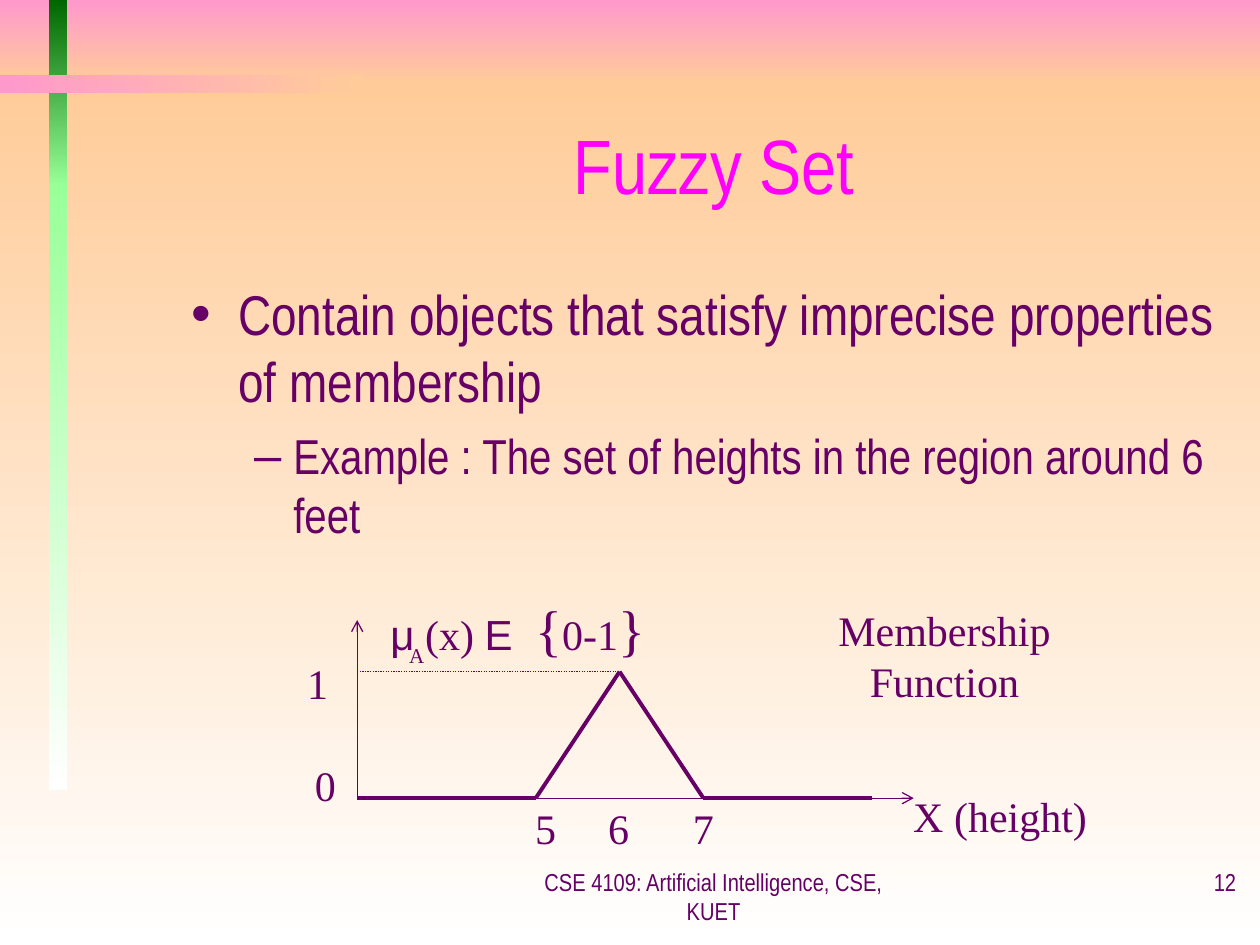
from dataclasses import dataclass

from lxml import etree
from pptx import Presentation
from pptx import util as u
from pptx.dml.color import RGBColor
from pptx.enum import dml, shapes, text
from pptx.oxml.ns import qn


@dataclass(frozen=True)
class Theme:
    ink: str = "660066"
    title: str = "FF00FF"
    pink: str = "FF99CC"
    peach: str = "FFCC99"
    dark_green: str = "006600"
    light_green: str = "99FF99"
    white: str = "FFFFFF"
    sans: str = "Arial"
    narrow: str = "Arial Narrow"
    serif: str = "Times New Roman"
    title_size: int = 44
    body_size: int = 32
    sub_size: int = 28
    label_size: int = 24
    footer_size: int = 14
    small_size: int = 12
    thin: float = 0.75
    thick: float = 2.25


THEME = Theme()
LEFT, CENTER, RIGHT = text.PP_ALIGN.LEFT, text.PP_ALIGN.CENTER, text.PP_ALIGN.RIGHT


@dataclass(frozen=True)
class Box:
    """A rectangle in centimetres."""
    left: float
    top: float
    width: float
    height: float

    def lengths(self) -> tuple:
        return tuple(u.Cm(v) for v in (self.left, self.top, self.width, self.height))


@dataclass(frozen=True)
class Band:
    box: Box
    start: str
    end: str
    angle: int = 270


@dataclass(frozen=True)
class Label:
    words: str
    box: Box
    align: text.PP_ALIGN = CENTER
    size: int = THEME.label_size
    font: str = THEME.serif
    wrap: bool = False


@dataclass(frozen=True)
class Stroke:
    start: tuple
    end: tuple
    width: float = THEME.thin
    arrow: bool = False
    dotted: bool = False


@dataclass(frozen=True)
class Bullet:
    words: str
    level: int
    char: str
    size: int
    indent: float
    hanging: float
    before: float


def format_run(run, font: str, size: int, color: str = THEME.ink) -> None:
    run.font.name = font
    run.font.size = u.Pt(size)
    run.font.color.rgb = RGBColor.from_string(color)


def add_band(slide, band: Band) -> None:
    shape = slide.shapes.add_shape(shapes.MSO_SHAPE.RECTANGLE, *band.box.lengths())
    shape.shadow.inherit = False
    shape.line.fill.background()
    shape.fill.gradient()
    shape.fill.gradient_angle = band.angle
    for stop, color in zip(shape.fill.gradient_stops, (band.start, band.end)):
        stop.color.rgb = RGBColor.from_string(color)


def add_label(slide, label: Label):
    shape = slide.shapes.add_textbox(*label.box.lengths())
    shape.text_frame.word_wrap = label.wrap
    paragraph = shape.text_frame.paragraphs[0]
    paragraph.text = label.words
    paragraph.alignment = label.align
    for run in paragraph.runs:
        format_run(run, label.font, label.size)
    return paragraph


def add_stroke(slide, stroke: Stroke) -> None:
    points = [u.Cm(v) for v in (*stroke.start, *stroke.end)]
    connector = slide.shapes.add_connector(shapes.MSO_CONNECTOR.STRAIGHT, *points)
    connector.line.width = u.Pt(stroke.width)
    connector.line.color.rgb = RGBColor.from_string(THEME.ink)
    if stroke.dotted:
        connector.line.dash_style = dml.MSO_LINE.ROUND_DOT
    properties = connector._element.spPr
    if stroke.arrow:
        etree.SubElement(properties.find(qn("a:ln")), qn("a:tailEnd"), type="arrow")
    etree.SubElement(properties, qn("a:effectLst"))


def place(shape, box: Box, anchor: text.MSO_ANCHOR) -> None:
    shape.left, shape.top, shape.width, shape.height = box.lengths()
    shape.text_frame.auto_size = text.MSO_AUTO_SIZE.NONE
    shape.text_frame.vertical_anchor = anchor


def fill_title(slide, words: str) -> None:
    shape = slide.shapes.title
    place(shape, Box(3.6, 1.7, 21.59, 3.18), text.MSO_ANCHOR.MIDDLE)
    shape.text_frame.text = words
    paragraph = shape.text_frame.paragraphs[0]
    paragraph.alignment = CENTER
    format_run(paragraph.runs[0], THEME.narrow, THEME.title_size, THEME.title)


def fill_body(slide, bullets: list[Bullet]) -> None:
    shape = slide.placeholders[1]
    place(shape, Box(3.6, 5.5, 21.59, 11.43), text.MSO_ANCHOR.TOP)
    shape.text_frame.text = "\n".join(bullet.words for bullet in bullets)
    for paragraph, bullet in zip(shape.text_frame.paragraphs, bullets):
        paragraph.level = bullet.level
        paragraph.space_before = u.Pt(bullet.before)
        properties = paragraph._p.get_or_add_pPr()
        properties.set("marL", str(u.Cm(bullet.indent)))
        properties.set("indent", str(-u.Cm(bullet.hanging)))
        color = etree.SubElement(properties, qn("a:buClr"))
        etree.SubElement(color, qn("a:srgbClr"), val=THEME.ink)
        etree.SubElement(properties, qn("a:buChar"), char=bullet.char)
        format_run(paragraph.runs[0], THEME.narrow, bullet.size)


def add_formula(slide) -> None:
    paragraph = add_label(slide, Label("", Box(7.62, 11.86, 7.42, 1.63), LEFT, wrap=True))
    tabs = etree.SubElement(paragraph._p.get_or_add_pPr(), qn("a:tabLst"))
    etree.SubElement(tabs, qn("a:tab"), pos=str(u.Cm(2.92)), algn="l")
    pieces = [("μ", THEME.sans, THEME.label_size), (" (x) ", THEME.serif, THEME.label_size),
              ("Ε\t", THEME.sans, THEME.label_size), ("{", THEME.serif, THEME.body_size),
              ("0-1", THEME.serif, THEME.label_size), ("}", THEME.serif, THEME.body_size)]
    for words, font, size in pieces:
        run = paragraph.add_run()
        run.text = words
        format_run(run, font, size)
    add_label(slide, Label("A", Box(8.0, 12.83, 0.81, 0.76), LEFT, THEME.small_size))


def add_membership_plot(slide) -> None:
    origin_x, base, peak = 7.2, 16.09, 13.54
    five, six, seven = (10.8 + 1.69 * step for step in range(3))
    strokes = [
        Stroke((origin_x, base), (18.42, base), arrow=True),
        Stroke((origin_x, base), (origin_x, 12.5), arrow=True),
        Stroke((origin_x, peak), (six, peak), dotted=True),
    ]
    # Membership curve
    curve = [(origin_x, base), (five, base), (six, peak), (seven, base), (17.57, base)]
    strokes += [Stroke(a, b, THEME.thick) for a, b in zip(curve, curve[1:])]
    for stroke in strokes:
        add_stroke(slide, stroke)
    # Axis labels
    for words, left, top in (("5", 10.54, 16.05), ("6", 12.01, 16.05), ("7", 13.72, 16.05),
                             ("0", 6.1, 15.19), ("1", 5.94, 13.13)):
        add_label(slide, Label(words, Box(left, top, 0.91, 1.27)))
    add_label(slide, Label("X (height)", Box(18.16, 15.82, 4.01, 1.27), LEFT))
    add_label(slide, Label("Membership Function", Box(15.04, 12.07, 8.0, 1.27)))
    add_formula(slide)


def main() -> None:
    presentation = Presentation()
    presentation.slide_width, presentation.slide_height = u.Cm(25.4), u.Cm(19.05)
    slide = presentation.slides.add_slide(presentation.slide_layouts[1])
    # Backdrop, sent behind the placeholders
    placeholders = list(slide.placeholders)
    for band in (
        Band(Box(0, 0, 25.4, 1.7), THEME.pink, THEME.peach),
        Band(Box(0, 1.7, 25.4, 17.35), THEME.peach, THEME.white),
        Band(Box(0.99, 0, 0.36, 3.76), THEME.dark_green, THEME.light_green),
        Band(Box(0.99, 3.71, 0.36, 12.22), THEME.light_green, THEME.white),
        Band(Box(0, 1.52, 7.34, 0.36), THEME.pink, THEME.peach, angle=0),
    ):
        add_band(slide, band)
    for placeholder in placeholders:
        slide.shapes._spTree.append(placeholder._element)
    # Title and list
    fill_title(slide, "Fuzzy Set")
    fill_body(slide, [
        Bullet("Contain objects that satisfy imprecise properties of membership",
               0, "•", THEME.body_size, 0.95, 0.95, 0),
        Bullet("Example : The set of heights in the region around 6 feet",
               1, "–", THEME.sub_size, 2.06, 0.79, 7),
    ])
    add_membership_plot(slide)
    # Footer
    for words, box, align in (
        ("CSE 4109: Artificial Intelligence, CSE, KUET", Box(10.36, 17.35, 8.05, 1.27), CENTER),
        ("12", Box(19.89, 17.35, 5.28, 1.27), RIGHT),
    ):
        add_label(slide, Label(words, box, align, THEME.footer_size, THEME.narrow, wrap=True))
    presentation.save("out.pptx")


if __name__ == "__main__":
    main()
